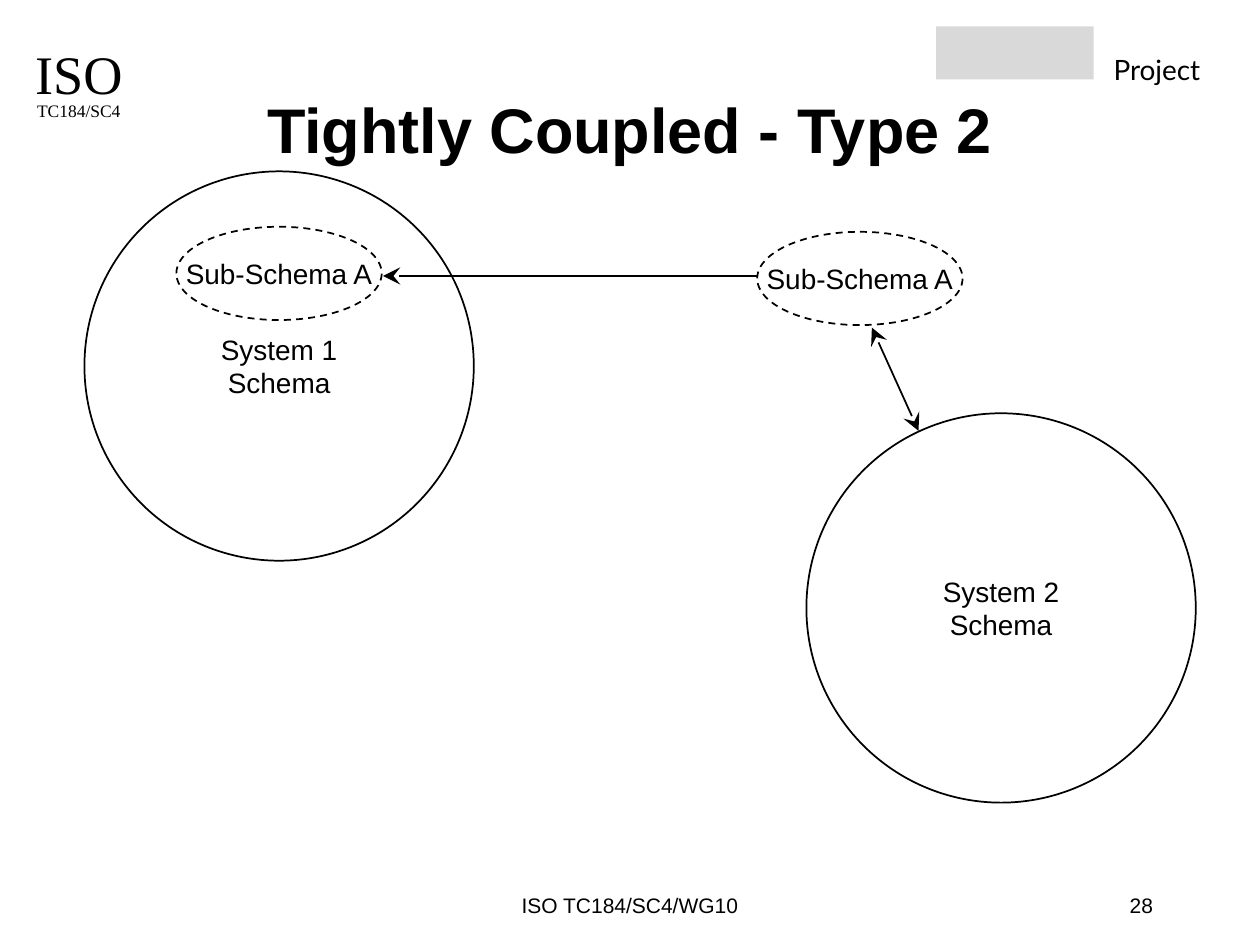
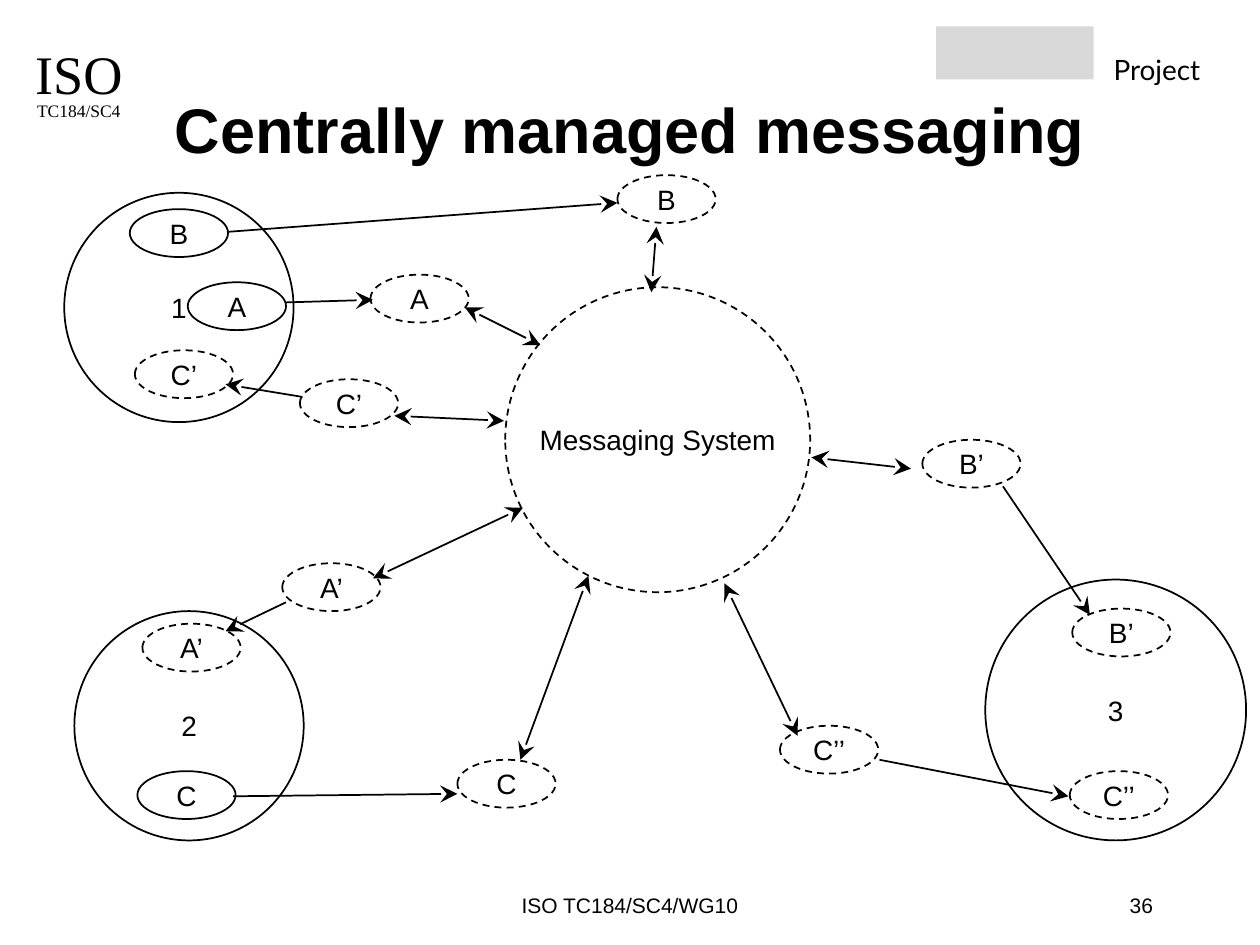
from lxml.etree import SubElement as Sub
from pptx import Presentation
from pptx.dml.color import RGBColor
from pptx.enum.dml import MSO_LINE
from pptx.enum.shapes import MSO_CONNECTOR, MSO_SHAPE
from pptx.enum.text import MSO_ANCHOR as ANC, MSO_AUTO_SIZE, PP_ALIGN as AL
from pptx.oxml.ns import qn
from pptx.util import Inches, Pt

INK = RGBColor(0, 0, 0)
PAPER = RGBColor(255, 255, 255)
GREY = RGBColor(217, 217, 217)
FONT = "Arial"
SERIF = "Times New Roman"
SMALL = (0.78, 0.38)
SUB = (1.63, 0.74)

# Slide 1: text, left, top, size, dashed
TYPE_NODES = [
    ("System 1\nSchema", 0.67, 1.36, (3.09, 3.09), False),
    ("System 2\nSchema", 6.4, 3.28, (3.09, 3.09), False),
    ("Sub-Schema A", 1.4, 1.8, SUB, True),
    ("Sub-Schema A", 6.01, 1.84, SUB, True),
]
# Start, end, arrowheads at both ends
TYPE_LINKS = [
    ((6.02, 2.19), (3.04, 2.19), False),
    ((6.92, 2.6), (7.29, 3.42), True),
]

# Slide 2: the hub and the systems, then their schemas
HUB_NODES = [
    ("Messaging System", 4.01, 2.28, (2.42, 2.42), True),
    ("1", 0.51, 1.53, (1.82, 1.82), False),
    ("3", 7.82, 4.6, (2.07, 2.07), False),
    ("2", 0.59, 4.85, (1.82, 1.82), False),
]
OWNED = [("A", 1.49, 2.24), ("B", 1.03, 1.66), ("C", 1.09, 6.12)]
SHARED = [
    ("A", 2.94, 2.18), ("A’", 2.24, 4.47), ("A’", 1.13, 4.95),
    ("B", 4.9, 1.39), ("B’", 7.32, 3.49), ("B’", 8.51, 4.83),
    ("C", 3.63, 6.03), ("C’", 1.07, 2.78), ("C’", 2.38, 3.01),
    ("C’’", 6.19, 5.76), ("C’’", 8.49, 6.12),
]
HUB_NODES += [(*item, SMALL, False) for item in OWNED]
HUB_NODES += [(*item, SMALL, True) for item in SHARED]
HUB_LINKS = [
    # System to schema copy, or copy to system
    ((1.81, 1.84), (4.9, 1.61), False),
    ((2.27, 2.4), (2.96, 2.38), False),
    ((2.4, 3.15), (1.79, 3.05), False),
    ((2.27, 4.78), (1.79, 5.01), False),
    ((1.85, 6.32), (3.63, 6.3), False),
    ((7.96, 3.86), (8.65, 4.88), False),
    ((6.98, 6.03), (8.48, 6.32), False),
    # Schema copy to and from the hub
    ((5.21, 1.8), (5.17, 2.32), True),
    ((3.69, 2.44), (4.29, 2.74), True),
    ((3.13, 3.3), (4, 3.34), True),
    ((2.96, 4.59), (4.15, 4.03), True),
    ((4.13, 6.03), (4.67, 4.57), True),
    ((5.75, 4.63), (6.33, 5.84), True),
    ((6.44, 3.63), (7.23, 3.72), True),
]


def write(shape, text, size=16, font=FONT, bold=False, align=AL.CENTER,
          anchor=ANC.MIDDLE, wrap=False):
    frame = shape.text_frame
    frame.auto_size = MSO_AUTO_SIZE.NONE
    frame.word_wrap = wrap
    frame.vertical_anchor = anchor
    para = frame.paragraphs[0]
    para.text = text
    para.alignment = align
    for run in para.runs:
        run.font.size = Pt(size)
        run.font.name = font
        run.font.bold = bold
        run.font.color.rgb = INK


def label(slide, text, *box, **form):
    write(slide.shapes.add_textbox(*map(Inches, box)), text, **form)


def solid(slide, kind, fill, *box):
    shape = slide.shapes.add_shape(kind, *map(Inches, box))
    shape.shadow.inherit = False
    shape.fill.solid()
    shape.fill.fore_color.rgb = fill
    return shape


def node(slide, text, left, top, size, dashed):
    oval = solid(slide, MSO_SHAPE.OVAL, PAPER, left, top, *size)
    oval.line.color.rgb = INK
    oval.line.width = Pt(1)
    if dashed:
        oval.line.dash_style = MSO_LINE.DASH
    write(oval, text)


def link(slide, start, end, both):
    line = slide.shapes.add_connector(
        MSO_CONNECTOR.STRAIGHT, *map(Inches, (*start, *end)))
    line.line.color.rgb = INK
    line.line.width = Pt(1)
    ln = line.line._get_or_add_ln()
    for tag in ("a:headEnd", "a:tailEnd") if both else ("a:tailEnd",):
        Sub(ln, qn(tag), type="stealth", w="lg", len="lg")
    Sub(line._element.spPr, qn("a:effectLst"))


def frame(slide, title, number):
    # Header marks
    label(slide, "ISO", 0.25, 0.33, 0.75, 0.5, size=31, font=SERIF)
    label(slide, "TC184/SC4", 0.25, 0.75, 0.75, 0.25, size=10, font=SERIF)
    block = solid(slide, MSO_SHAPE.RECTANGLE, GREY, 7.43, 0.21, 1.25, 0.42)
    block.line.fill.background()
    label(slide, "Project", 8.74, 0.37, 0.9, 0.37, font="Lato",
          align=AL.LEFT, anchor=ANC.TOP)

    # Title
    head = slide.shapes.title
    head.left, head.top, head.width, head.height = map(
        Inches, (0.75, 0.67, 8.5, 1.25))
    write(head, title, size=36, bold=True, anchor=ANC.TOP, wrap=True)

    # Footer
    foot = dict(size=12, anchor=ANC.BOTTOM, wrap=True)
    label(slide, "ISO TC184/SC4/WG10", 3, 6.83, 4, 0.5, **foot)
    label(slide, number, 7.17, 6.83, 2.08, 0.5, align=AL.RIGHT, **foot)


def build(deck, title, number, nodes, links):
    slide = deck.slides.add_slide(deck.slide_layouts[5])
    frame(slide, title, number)
    for item in nodes:
        node(slide, *item)
    for item in links:
        link(slide, *item)


def main():
    deck = Presentation()
    deck.slide_width, deck.slide_height = Inches(10), Inches(7.5)
    build(deck, "Tightly Coupled - Type 2", "28", TYPE_NODES, TYPE_LINKS)
    build(deck, "Centrally managed messaging", "36", HUB_NODES, HUB_LINKS)
    deck.save("out.pptx")


if __name__ == "__main__":
    main()
